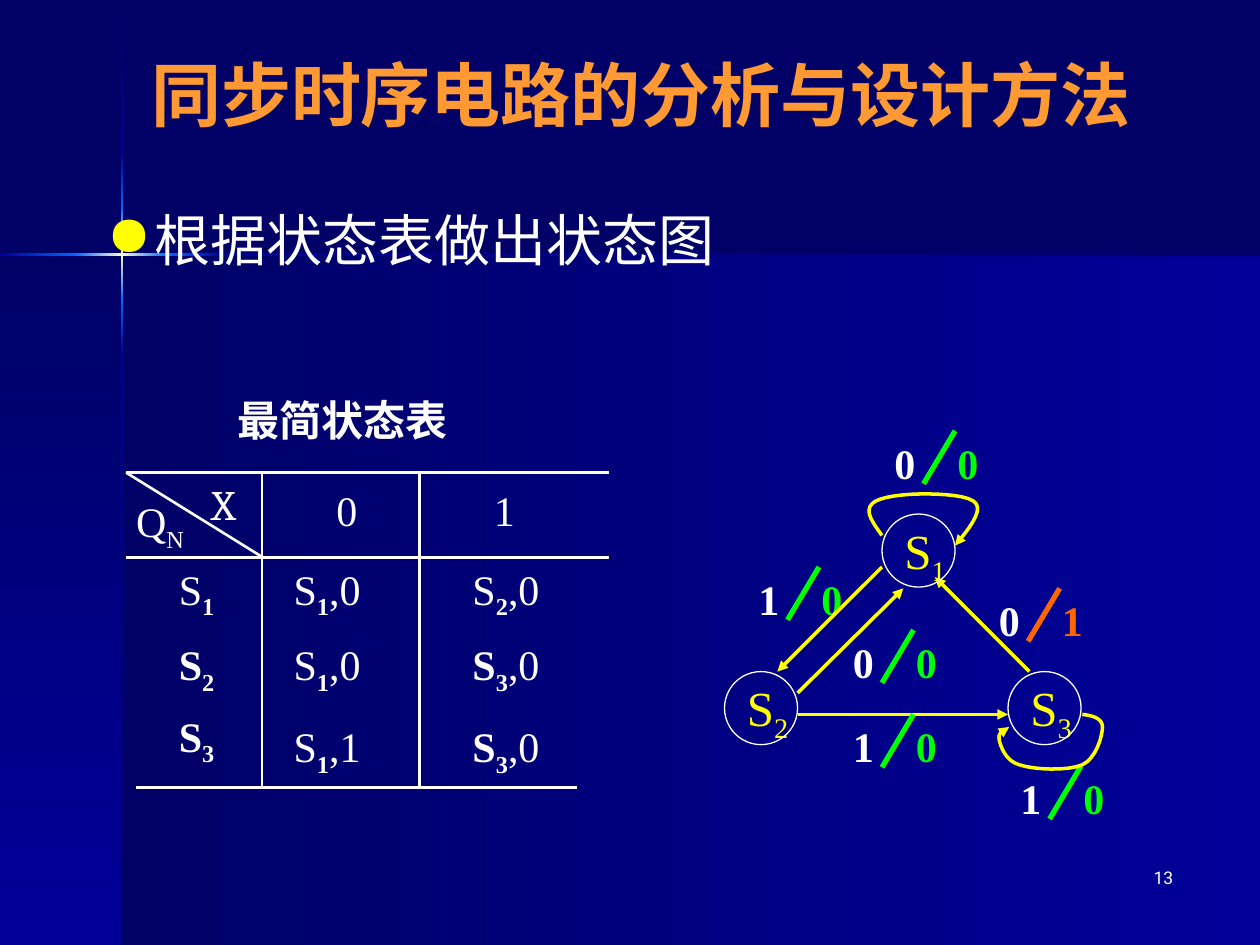
from lxml import etree
from pptx import Presentation
from pptx.dml.color import RGBColor
from pptx.enum.shapes import MSO_CONNECTOR, MSO_SHAPE
from pptx.enum.text import MSO_ANCHOR, MSO_AUTO_SIZE, PP_ALIGN
from pptx.oxml.ns import qn
from pptx.util import Inches, Pt

STRAIGHT = MSO_CONNECTOR.STRAIGHT
RECT, OVAL = MSO_SHAPE.RECTANGLE, MSO_SHAPE.OVAL
LEFT, CENTER, RIGHT = PP_ALIGN.LEFT, PP_ALIGN.CENTER, PP_ALIGN.RIGHT
TOP, MIDDLE = MSO_ANCHOR.TOP, MSO_ANCHOR.MIDDLE

COLORS = {
    "navy": "000066", "blue": "000099", "glow": "0066FF", "cream": "FFFFCC",
    "white": "FFFFFF", "orange": "FF9933", "yellow": "FFFF00",
    "green": "00FF00", "red": "FF6600",
}
SERIF = "Times New Roman"


def write(tf, parts, size, color="white", font=SERIF, align=LEFT):
    """Fill the first paragraph with (text, bold, subscript) parts."""
    tf.word_wrap = True
    p = tf.paragraphs[0]
    p.alignment = align
    for text, bold, subscript in parts:
        r = p.add_run()
        r.text = text
        r.font.name, r.font.size, r.font.bold = font, Pt(size), bold
        r.font.color.rgb = RGBColor.from_string(COLORS[color])
        if subscript:
            r.font._element.set("baseline", "-25000")
    return p


def style_line(sp, color, width, arrow=False):
    """Give an outline its colour and width, no shadow, and an arrowhead if asked."""
    sp.line.color.rgb = RGBColor.from_string(COLORS[color])
    sp.line.width = Pt(width)
    spPr = sp._element.spPr
    if arrow:
        etree.SubElement(spPr.find(qn("a:ln")), qn("a:tailEnd"), type="triangle")
    etree.SubElement(spPr, qn("a:effectLst"))


prs = Presentation()
prs.slide_width, prs.slide_height = Inches(10), Inches(7.5)
s = prs.slides.add_slide(prs.slide_layouts[5])
shapes = s.shapes

# Background: panels and glowing cross, with gradient angle (90 runs downwards)
s.background.fill.solid()
s.background.fill.fore_color.rgb = RGBColor.from_string(COLORS["navy"])
bands = [
    (0.97, 2.02, 9.03, 5.48, 0, ["navy", "blue"]),
    (0, 2.02, 0.97, 5.48, 90, ["navy", "blue"]),
    (0.96, 0.01, 0.02, 1.21, 90, ["navy", "blue"]),
    (0.96, 2.82, 0.02, 4.68, 90, ["blue", "navy"]),
    (1.77, 2.01, 8.23, 0.02, 0, ["blue", "navy"]),
    (0.96, 2.38, 0.02, 0.44, 90, ["glow", "blue"]),
    (0.96, 1.21, 0.02, 0.44, 90, ["blue", "glow"]),
    (0.96, 1.65, 0.02, 0.73, 90, ["glow", "cream", "glow"]),
    (0, 2.01, 0.61, 0.02, 0, ["blue", "glow"]),
    (1.33, 2.01, 0.44, 0.02, 0, ["glow", "blue"]),
    (0.6, 2.01, 0.73, 0.02, 0, ["glow", "cream", "glow"]),
]
for x, y, w, h, angle, stops in bands:
    sp = shapes.add_shape(RECT, Inches(x), Inches(y), Inches(w), Inches(h))
    sp.shadow.inherit = False
    sp.line.fill.background()
    sp.fill.gradient()
    grad = sp._element.spPr.find(qn("a:gradFill"))
    for child in list(grad):
        grad.remove(child)
    gs_list = etree.SubElement(grad, qn("a:gsLst"))
    for i, name in enumerate(stops):
        gs = etree.SubElement(gs_list, qn("a:gs"), pos=str(100000 * i // (len(stops) - 1)))
        etree.SubElement(gs, qn("a:srgbClr"), val=COLORS[name])
    etree.SubElement(grad, qn("a:lin"), ang=str(angle * 60000), scaled="0")

# Title, brought in front of the background
title = shapes.title
shapes._spTree.append(title._element)
title.left, title.top = Inches(0.5), Inches(0.33)
title.width, title.height = Inches(9.17), Inches(0.83)
tf = title.text_frame
tf.auto_size = MSO_AUTO_SIZE.NONE
tf.vertical_anchor = MIDDLE
write(tf, [("同步时序电路的分析与设计方法", True, False)], 40, "orange", "Roboto", CENTER)

# Bulleted line
sp = shapes.add_textbox(Inches(0.75), Inches(1.58), Inches(8.67), Inches(5.08))
p = write(sp.text_frame, [("根据状态表做出状态图", False, False)], 32, font="Roboto")
pPr = p._p.get_or_add_pPr()
pPr.set("marL", str(Inches(0.38)))
pPr.set("indent", str(-Inches(0.38)))
bullet_color = etree.SubElement(pPr, qn("a:buClr"))
etree.SubElement(bullet_color, qn("a:srgbClr"), val=COLORS["yellow"])
etree.SubElement(pPr, qn("a:buChar"), char="●")

# State table: each cell has left and top margins and its text parts
rows = [
    [(0.08, 0.22, [("Q", False, False), ("N", False, True)]),
     (0.59, 0.13, [("0", False, False)]),
     (0.59, 0.13, [("1", False, False)])],
]
states = [  # label, bold S and top margin; then the two next states
    ("1", False, 0.08, 0.08, ("1", ",0", False), ("2", ",0", False)),
    ("2", True, 0.08, 0.08, ("1", ",0", False), ("3", ",0", True)),
    ("3", True, 0.05, 0.13, ("1", ",1", False), ("3", ",0", True)),
]
for label, bold, label_top, top, *next_states in states:
    row = [(0.42, label_top, [("S", bold, False), (label, True, True)])]
    for left, (number, output, strong) in zip((0.25, 0.42), next_states):
        row.append((left, top, [("S", strong, False), (number, True, True), (output, False, False)]))
    rows.append(row)

col_widths, row_heights = [1.08, 1.25, 1.5], [0.67, 0.6, 0.6, 0.63]
table = shapes.add_table(4, 3, Inches(1), Inches(3.75), Inches(3.83), Inches(2.5)).table
table.first_row = table.horz_banding = False
for col, width in zip(table.columns, col_widths):
    col.width = Inches(width)
for i, (height, row) in enumerate(zip(row_heights, rows)):
    table.rows[i].height = Inches(height)
    for j, (left, top, parts) in enumerate(row):
        cell = table.cell(i, j)
        cell.margin_left, cell.margin_top = Inches(left), Inches(top)
        cell.margin_right = cell.margin_bottom = 0
        cell.vertical_anchor = TOP
        write(cell.text_frame, parts, 24)
        cell.fill.background()
        tcPr = cell._tc.get_or_add_tcPr()
        borders = {"L": j > 0, "R": j < 2, "T": i < 2, "B": i == 0}
        for k, (side, shown) in enumerate(borders.items()):
            ln = etree.Element(qn("a:ln" + side), w=str(Pt(1.5)))
            fill = etree.SubElement(ln, qn("a:solidFill" if shown else "a:noFill"))
            if shown:
                etree.SubElement(fill, qn("a:srgbClr"), val=COLORS["white"])
            tcPr.insert(k, ln)

# Straight lines: table diagonal and foot, then the transitions
lines = [
    (1, 3.75, 2.08, 4.42, "white", 1.5, False),
    (1.08, 6.25, 4.58, 6.25, "white", 1.5, False),
    (7, 4.5, 6.17, 5.33, "yellow", 2, True),
    (6.33, 5.5, 7.17, 4.67, "yellow", 2, True),
    (6.33, 5.67, 8, 5.67, "yellow", 2, True),
    (8.17, 5.33, 7.42, 4.58, "yellow", 2, True),
]

# Transition labels: input / output, with a slash between them
labels = [
    (7, 3.42, "0", "0", "green"),
    (5.92, 4.5, "1", "0", "green"),
    (6.67, 5, "0", "0", "green"),
    (6.67, 5.67, "1", "0", "green"),
    (7.83, 4.67, "0", "1", "red"),
    (8, 6.08, "1", "0", "green"),
]
for x, y, given, output, color in labels:
    for left, text, text_color in ((x, given, "white"), (x + 0.5, output, color)):
        sp = shapes.add_textbox(Inches(left), Inches(y), Inches(0.42), Inches(0.5))
        write(sp.text_frame, [(text, True, False)], 24, text_color)
    lines.append((x + 0.58, y, x + 0.33, y + 0.42, color, 3, False))

for x1, y1, x2, y2, color, width, arrow in lines:
    sp = shapes.add_connector(STRAIGHT, Inches(x1), Inches(y1), Inches(x2), Inches(y2))
    style_line(sp, color, width, arrow)

# State circles
for x, y, number in ((7, 4.08, "1"), (5.75, 5.33, "2"), (8, 5.33, "3")):
    sp = shapes.add_textbox(Inches(x + 0.08), Inches(y), Inches(0.75), Inches(0.57))
    write(sp.text_frame, [("S", False, False), (number, False, True)], 28, "yellow")
    sp = shapes.add_shape(OVAL, Inches(x), Inches(y), Inches(0.58), Inches(0.58))
    sp.fill.background()
    style_line(sp, "white", 0.75)

# Self loops: cubic curves through every third point, drawn in short steps
loops = [
    [(7, 4.25), (6.93, 4.15), (6.86, 4.06), (6.92, 4), (6.97, 3.94), (7.19, 3.92), (7.33, 3.92),
     (7.47, 3.92), (7.71, 3.93), (7.75, 4), (7.79, 4.07), (7.69, 4.2), (7.58, 4.33)],
    [(8.59, 5.67), (8.67, 5.68), (8.75, 5.7), (8.75, 5.77), (8.75, 5.84), (8.7, 6.02), (8.59, 6.07),
     (8.48, 6.12), (8.2, 6.11), (8.09, 6.07), (7.98, 6.04), (7.94, 5.92), (7.93, 5.87),
     (7.92, 5.82), (7.96, 5.79), (8.01, 5.77)],
]
STEPS = 8
for pts in loops:
    curve = []
    for i in range(0, len(pts) - 1, 3):
        for t in (n / STEPS for n in range(1, STEPS + 1)):
            weights = ((1 - t) ** 3, 3 * t * (1 - t) ** 2, 3 * t * t * (1 - t), t ** 3)
            curve.append([Inches(sum(k * pt[axis] for k, pt in zip(weights, pts[i:i + 4])))
                          for axis in (0, 1)])
    builder = shapes.build_freeform(Inches(pts[0][0]), Inches(pts[0][1]))
    builder.add_line_segments(curve, close=False)
    sp = builder.convert_to_shape()
    sp.fill.background()
    style_line(sp, "yellow", 2, True)

# Table caption and page number
sp = shapes.add_textbox(Inches(1.79), Inches(3.08), Inches(1.88), Inches(0.5))
write(sp.text_frame, [("最简状态表", True, False)], 24)
sp = shapes.add_textbox(Inches(1.58), Inches(3.75), Inches(0.4), Inches(0.5))
write(sp.text_frame, [("X", False, False)], 24, font="Cambria")
sp = shapes.add_textbox(Inches(7.33), Inches(6.83), Inches(2.08), Inches(0.5))
write(sp.text_frame, [("13", False, False)], 10, font="Roboto", align=RIGHT)

prs.save("out.pptx")
